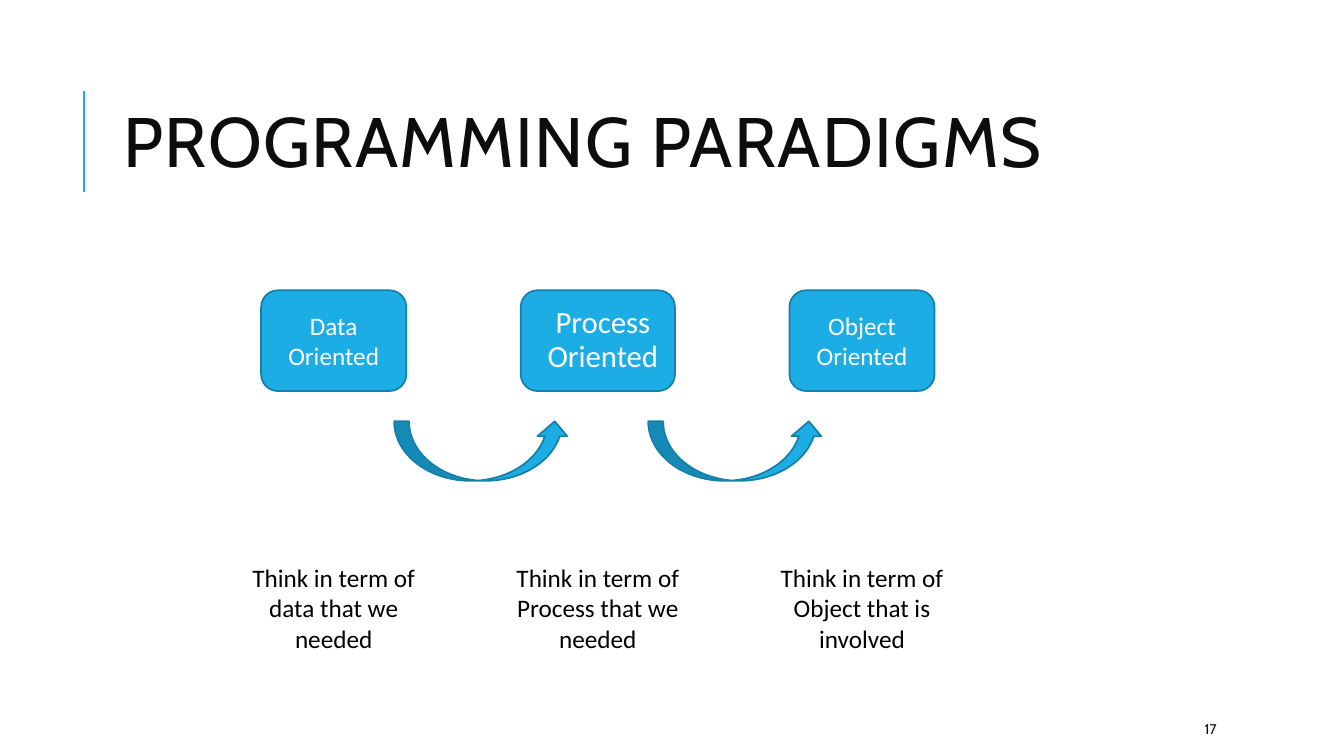
from lxml.etree import SubElement
from pptx import Presentation
from pptx.dml.color import RGBColor
from pptx.enum.shapes import MSO_CONNECTOR as Connector, MSO_SHAPE as Preset
from pptx.enum.text import MSO_ANCHOR as Anchor, MSO_AUTO_SIZE as AutoSize, PP_ALIGN as Align
from pptx.oxml import parse_xml
from pptx.oxml.ns import nsdecls, qn
from pptx.util import Inches, Pt

COLORS = {
    "accent": "1CADE4",
    "outline": "1580A9",
    "title": "0D0D0D",
    "text": "000000",
    "white": "FFFFFF",
}
FIRST_CENTER, COLUMN_PITCH = 3.31, 2.62
BOX_TOP, BOX_HEIGHT, BOX_WIDTH, PROCESS_WIDTH = 2.88, 1, 1.44, 1.53
ARROW_LEFT, ARROW_PITCH = 3.91, 2.52
CAPTION_WIDTH = 1.86
PARADIGMS = [
    ("Data Oriented", "Think in term of data that we needed"),
    ("Process Oriented", "Think in term of Process that we needed"),
    ("Object Oriented", "Think in term of Object that is involved"),
]


def color(name):
    """Return the named colour."""
    return RGBColor.from_string(COLORS[name])


def place(shape, left, top, width, height):
    """Move and size a shape, in inches."""
    shape.left, shape.top = Inches(left), Inches(top)
    shape.width, shape.height = Inches(width), Inches(height)


def write(shape, text, font, size, color_name, align=Align.LEFT, anchor=Anchor.MIDDLE):
    """Write one formatted paragraph and return it."""
    frame = shape.text_frame
    frame.text = text
    frame.word_wrap = True
    frame.auto_size = AutoSize.NONE
    frame.vertical_anchor = anchor
    paragraph = frame.paragraphs[0]
    paragraph.alignment = align
    run_font = paragraph.runs[0].font
    run_font.name, run_font.size = font, Pt(size)
    run_font.color.rgb = color(color_name)
    return paragraph


def paint(shape):
    """Give a shape the accent fill and its outline."""
    shape.fill.solid()
    shape.fill.fore_color.rgb = color("accent")
    shape.line.color.rgb = color("outline")
    shape.line.width = Pt(1.25)


def add_preset(slide, preset, left, top, width, height):
    """Add a painted preset shape without a shadow."""
    shape = slide.shapes.add_shape(
        preset, Inches(left), Inches(top), Inches(width), Inches(height))
    shape.shadow.inherit = False
    paint(shape)
    return shape


def add_text(slide, left, top, width, height, *text_format):
    """Add a text box with one paragraph."""
    box = slide.shapes.add_textbox(
        Inches(left), Inches(top), Inches(width), Inches(height))
    write(box, *text_format)


def add_title_rule(slide):
    """Draw the vertical line beside the title."""
    rule = slide.shapes.add_connector(
        Connector.STRAIGHT, Inches(0.83), Inches(1.9), Inches(0.83), Inches(0.9))
    rule.line.color.rgb = color("accent")
    rule.line.width = Pt(1.5)
    SubElement(rule._element.spPr, qn("a:effectLst"))


def format_title(title):
    """Place and write the title."""
    place(title, 1.12, 0.64, 10.63, 1.64)
    paragraph = write(title, "PROGRAMMING PARADIGMS", "Cabin", 50, "title")
    paragraph.line_spacing = 0.8
    paragraph.runs[0].font._element.set("spc", "100")


def format_body_box(body, center, text):
    """Turn the body placeholder into a rounded box with its label."""
    place(body, center - PROCESS_WIDTH / 2, BOX_TOP, PROCESS_WIDTH, BOX_HEIGHT)
    body._element.spPr.append(parse_xml(
        f'<a:prstGeom {nsdecls("a")} prst="roundRect"><a:avLst/></a:prstGeom>'))
    paint(body)
    paragraph = write(body, text, "Calibri", 22, "white", Align.CENTER)
    frame = body.text_frame
    frame.margin_left = frame.margin_right = Inches(0.05)
    frame.margin_top = frame.margin_bottom = Inches(0.05)
    paragraph.line_spacing = 0.9
    paragraph.space_before, paragraph.space_after = Pt(12), Pt(2)
    properties = paragraph._p.get_or_add_pPr()
    properties.set("marL", str(Inches(0.1)))
    properties.set("indent", str(Inches(-0.1)))
    SubElement(properties, qn("a:buChar"), char=" ")


def add_paradigm(slide, body, index, label, caption):
    """Add one column: a labelled box and the caption below it."""
    center = FIRST_CENTER + index * COLUMN_PITCH
    if label.startswith("Process"):
        format_body_box(body, center, label)
    else:
        box = add_preset(slide, Preset.ROUNDED_RECTANGLE,
                         center - BOX_WIDTH / 2, BOX_TOP, BOX_WIDTH, BOX_HEIGHT)
        write(box, label, "Calibri", 18, "white", Align.CENTER)
    add_text(slide, center - CAPTION_WIDTH / 2, 5.53, CAPTION_WIDTH, 1.01,
             caption, "Calibri", 18, "text", Align.CENTER, Anchor.TOP)


def main():
    """Build the slide and save it."""
    presentation = Presentation()
    presentation.slide_width, presentation.slide_height = Inches(13.33), Inches(7.5)
    slide = presentation.slides.add_slide(presentation.slide_layouts[1])
    add_title_rule(slide)
    format_title(slide.shapes.title)
    for index, (label, caption) in enumerate(PARADIGMS):
        add_paradigm(slide, slide.placeholders[1], index, label, caption)
    for index in range(len(PARADIGMS) - 1):
        add_preset(slide, Preset.CURVED_UP_ARROW,
                   ARROW_LEFT + index * ARROW_PITCH, 4.18, 1.74, 0.59)
    add_text(slide, 11.85, 7.08, 1.06, 0.3, "17", "Cabin", 10, "title")
    presentation.save("out.pptx")


if __name__ == "__main__":
    main()
